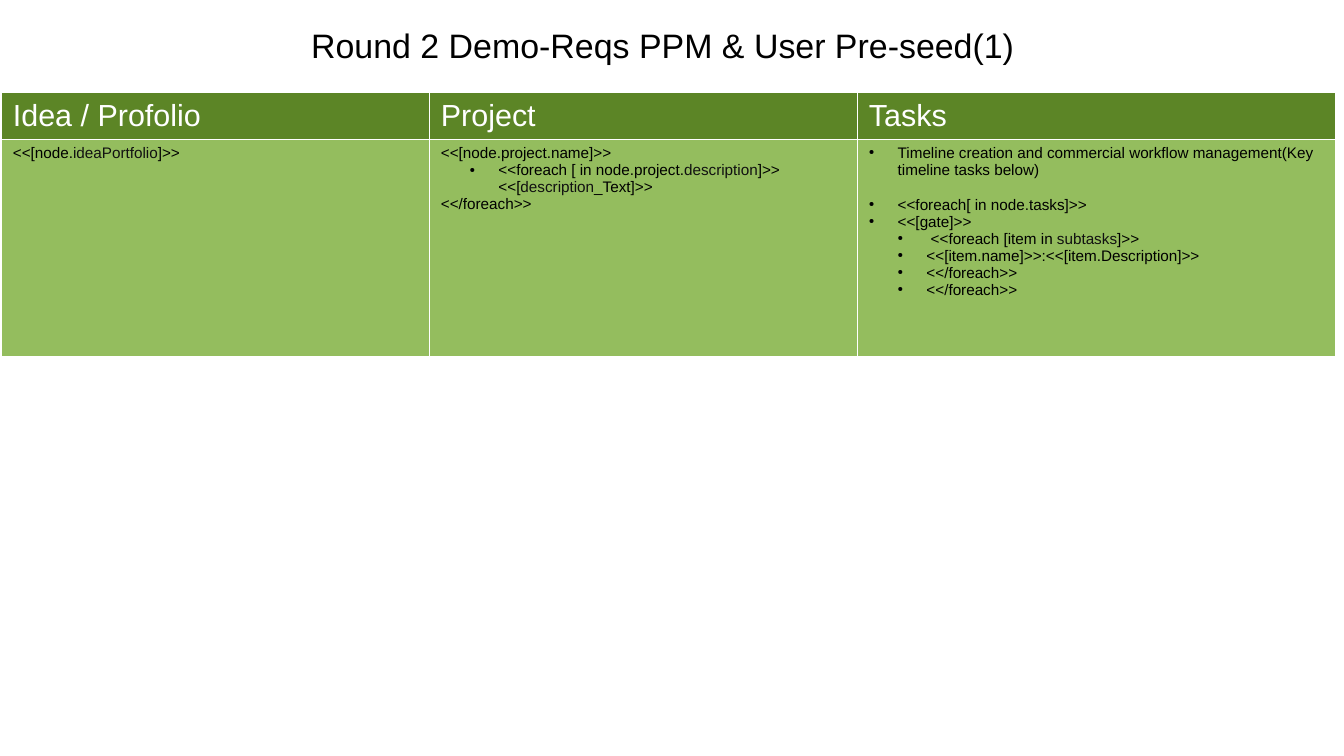
from dataclasses import dataclass

from lxml import etree
from pptx import Presentation
from pptx import util as u
from pptx.dml.color import RGBColor
from pptx.enum import text
from pptx.oxml.ns import qn

Pt = u.Pt
COLORS = {"black": "000000", "field": "111111", "white": "FFFFFF",
          "header": "5C8526", "body": "94BD5E"}
INDENT = 17


@dataclass
class Line:
    """Pieces alternate between plain text and field names."""
    pieces: tuple[str, ...]
    level: int = 0
    bullet: bool = True
    after: float = 0


@dataclass
class Column:
    heading: str
    width: float
    lines: list[Line]


COLUMNS = [
    Column("Idea / Profolio", 252.7, [
        Line(("<<[node.", "ideaPortfolio", "]>>"), bullet=False),
    ]),
    Column("Project", 252.7, [
        Line(("<<[node.project.name]>>",), bullet=False),
        Line(("<<foreach [ in node.project.", "description", "]>> <<[",
              "description", "_Text]>>"), level=1),
        Line(("<</foreach>>",), bullet=False),
    ]),
    Column("Tasks", 282.7, [
        Line(("Timeline creation and commercial workflow management"
              "(Key timeline tasks below)",), after=10.2),
        Line(("<<foreach[ in node.tasks]>>",)),
        Line(("<<[gate]>>",)),
        Line((" <<foreach [item in ", "subtasks", "]>>"), level=1),
        Line(("<<[item.name]>>:<<[item.Description]>>",), level=1),
        Line(("<</foreach>>",), level=1),
        Line(("<</foreach>>",), level=1),
    ]),
]
ROW_HEIGHTS = (27.2, 128.2)


def rgb(name: str) -> RGBColor:
    return RGBColor.from_string(COLORS[name])


def write(p, words: str, *, size: float, color: str = "black") -> None:
    r = p.add_run()
    r.text = words
    r.font.name, r.font.size, r.font.bold = "Arial", Pt(size), False
    r.font.color.rgb = rgb(color)


def add_bullet(p, level: int) -> None:
    pPr = p._p.get_or_add_pPr()
    pPr.set("marL", str(Pt(INDENT * (level + 1))))
    pPr.set("indent", str(Pt(-INDENT)))
    clr = etree.SubElement(pPr, qn("a:buClr"))
    etree.SubElement(clr, qn("a:srgbClr"), val=COLORS["black"])
    etree.SubElement(pPr, qn("a:buSzPct"), val="45000")
    etree.SubElement(pPr, qn("a:buChar"), char="●")


def format_cell(cell, fill: str) -> None:
    tcPr = cell._tc.get_or_add_tcPr()
    for side in ("lnL", "lnR", "lnT", "lnB"):
        ln = etree.SubElement(tcPr, qn(f"a:{side}"), w=str(Pt(0.06)))
        solid = etree.SubElement(ln, qn("a:solidFill"))
        etree.SubElement(solid, qn("a:srgbClr"), val=COLORS["white"])
    cell.fill.solid()
    cell.fill.fore_color.rgb = rgb(fill)


def fill_body(cell, lines: list[Line]) -> None:
    tf = cell.text_frame
    for i, line in enumerate(lines):
        p = tf.add_paragraph() if i else tf.paragraphs[0]
        p.level = line.level
        if line.after:
            p.space_after = Pt(line.after)
        if line.bullet:
            add_bullet(p, line.level)
        for j, piece in enumerate(line.pieces):
            write(p, piece, size=9, color="field" if j % 2 else "black")


def add_title(s, words: str) -> None:
    sp = s.shapes.title
    sp.left, sp.top, sp.width, sp.height = Pt(45.4), Pt(18), Pt(692), Pt(16.6)
    tf = sp.text_frame
    tf.margin_left = tf.margin_right = tf.margin_top = tf.margin_bottom = 0
    tf.auto_size = text.MSO_AUTO_SIZE.NONE
    tf.word_wrap = True
    tf.vertical_anchor = text.MSO_ANCHOR.MIDDLE
    p = tf.paragraphs[0]
    p.alignment = text.PP_ALIGN.CENTER
    write(p, words, size=20)


def add_requirements(s) -> None:
    width = sum(c.width for c in COLUMNS)
    table = s.shapes.add_table(len(ROW_HEIGHTS), len(COLUMNS), Pt(0.4), Pt(54.5),
                               Pt(width), Pt(sum(ROW_HEIGHTS))).table
    table.first_row = table.horz_banding = False
    for row, height in zip(table.rows, ROW_HEIGHTS):
        row.height = Pt(height)
    for i, column in enumerate(COLUMNS):
        table.columns[i].width = Pt(column.width)
        head, body = table.cell(0, i), table.cell(1, i)
        format_cell(head, "header")
        format_cell(body, "body")
        write(head.text_frame.paragraphs[0], column.heading, size=18, color="white")
        fill_body(body, column.lines)


def main() -> None:
    prs = Presentation()
    prs.slide_width, prs.slide_height = Pt(793.44), Pt(446.4)
    s = prs.slides.add_slide(prs.slide_layouts[5])
    # Title
    add_title(s, "Round 2 Demo-Reqs PPM & User Pre-seed(1)")
    # Requirements table
    add_requirements(s)
    prs.save("out.pptx")


if __name__ == "__main__":
    main()
